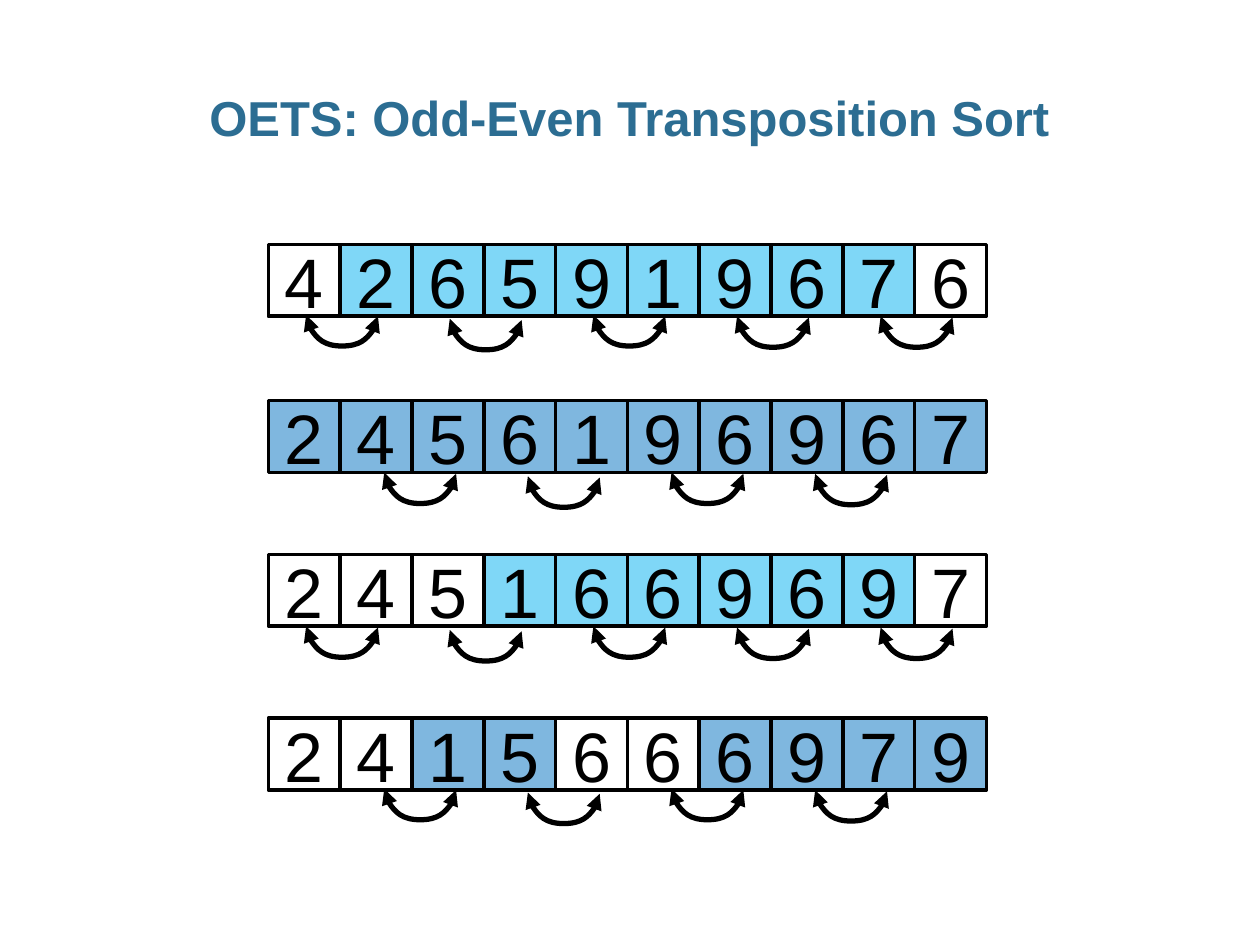
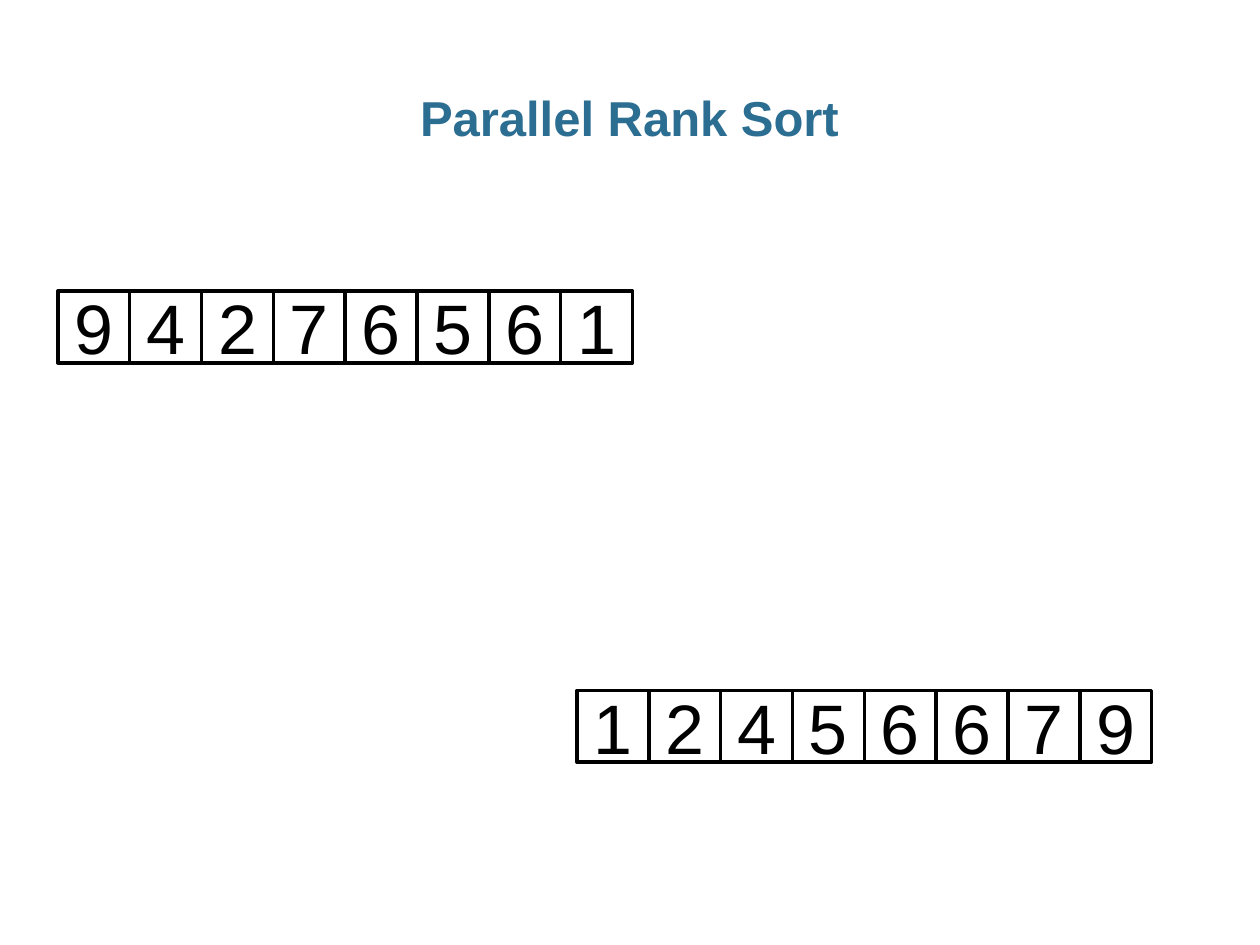
from lxml.etree import SubElement
from pptx import Presentation
from pptx.dml.color import RGBColor
from pptx.enum.shapes import MSO_CONNECTOR, MSO_SHAPE
from pptx.enum.text import MSO_ANCHOR, PP_ALIGN
from pptx.oxml.ns import qn
from pptx.util import Inches, Pt

TITLE_BLUE = RGBColor(0x2C, 0x6D, 0x92)
BLACK = RGBColor(0x00, 0x00, 0x00)
LIGHT_BLUE = RGBColor(0x00, 0xB0, 0xF0)
DARK_BLUE = RGBColor(0x00, 0x70, 0xC0)
FONT = "Arial"

CELL = 0.57
ARC_DROP = 0.01
ARC_DEPTH = 0.25
ARC_DIPS = (0, 0.03, 0, 0.01, 0.01)
ODD_ARCS_LEFT, EVEN_ARCS_LEFT = 2.43, 3.05
SORT_LEFT = 2.13

# digits, top, fill colour, filled columns, arcs left, arcs top, arc count
SORT_PHASES = (
    ("4265919676"[:0] + "4265919676", 1.94, LIGHT_BLUE, range(1, 9), ODD_ARCS_LEFT, 2.5, 5),
)
SORT_PHASES = (
    ("4265919676", 1.94, LIGHT_BLUE, range(1, 9), ODD_ARCS_LEFT, 2.5, 5),
    ("2456196967", 3.18, DARK_BLUE, range(10), EVEN_ARCS_LEFT, 3.75, 4),
    ("2451669697", 4.4, LIGHT_BLUE, range(3, 9), ODD_ARCS_LEFT, 4.97, 5),
    ("2415666979", 5.7, DARK_BLUE, (2, 3, 6, 7, 8, 9), EVEN_ARCS_LEFT, 6.26, 4),
)


def style_paragraph(p, size, color, bold=False):
    p.alignment = PP_ALIGN.CENTER
    p.font.name = FONT
    p.font.size = Pt(size)
    p.font.bold = bold
    p.font.color.rgb = color


def add_titled_slide(prs, title):
    slide = prs.slides.add_slide(prs.slide_layouts[6])
    box = slide.shapes.add_textbox(Inches(0.34), Inches(0.68), Inches(9.31), Inches(0.5))
    tf = box.text_frame
    tf.word_wrap = True
    tf.margin_left = tf.margin_right = 0
    p = tf.paragraphs[0]
    p.text = title
    p.line_spacing = 0.95
    style_paragraph(p, 28, TITLE_BLUE, bold=True)
    return slide


def add_cell(slide, left, top, digit, color=None):
    sp = slide.shapes.add_shape(
        MSO_SHAPE.RECTANGLE, Inches(left), Inches(top), Inches(CELL), Inches(CELL))
    sp.shadow.inherit = False
    if color is None:
        sp.fill.background()
    else:
        sp.fill.solid()
        sp.fill.fore_color.rgb = color
        srgb = sp._element.spPr.find(qn("a:solidFill")).find(qn("a:srgbClr"))
        SubElement(srgb, qn("a:alpha"), val="50000")
    sp.line.color.rgb = BLACK
    sp.line.width = Pt(2)
    tf = sp.text_frame
    tf.vertical_anchor = MSO_ANCHOR.MIDDLE
    p = tf.paragraphs[0]
    p.text = digit
    style_paragraph(p, 40, BLACK)


def add_array(slide, left, top, digits, color=None, filled=()):
    for i, digit in enumerate(digits):
        add_cell(slide, left + i * CELL, top, digit, color if i in filled else None)


def add_swap_arc(slide, left, top):
    mid_x, mid_y = left + CELL / 2, top + ARC_DROP / 2
    arc = slide.shapes.add_connector(
        MSO_CONNECTOR.CURVE,
        Inches(mid_x + ARC_DROP / 2), Inches(mid_y - CELL / 2),
        Inches(mid_x - ARC_DROP / 2), Inches(mid_y + CELL / 2))
    arc.line.color.rgb = BLACK
    arc.line.width = Pt(3)
    sp_pr = arc._element.spPr
    sp_pr.find(qn("a:xfrm")).set("rot", "16200000")
    guides = sp_pr.find(qn("a:prstGeom")).find(qn("a:avLst"))
    bend = round(ARC_DEPTH / ARC_DROP * 100000)
    SubElement(guides, qn("a:gd"), name="adj1", fmla=f"val {bend}")
    for end in ("a:headEnd", "a:tailEnd"):
        SubElement(sp_pr.find(qn("a:ln")), qn(end), type="triangle")
    SubElement(sp_pr, qn("a:effectLst"))


def add_swap_arcs(slide, left, top, count):
    for i, dip in enumerate(ARC_DIPS[:count]):
        add_swap_arc(slide, left + i * 2 * CELL, top + dip)


def main():
    prs = Presentation()
    prs.slide_width, prs.slide_height = Inches(10), Inches(7.5)

    slide = add_titled_slide(prs, "OETS: Odd-Even Transposition Sort")
    for digits, top, color, filled, arcs_left, arcs_top, count in SORT_PHASES:
        add_array(slide, SORT_LEFT, top, digits, color, filled)
        add_swap_arcs(slide, arcs_left, arcs_top, count)

    slide = add_titled_slide(prs, "Parallel Rank Sort")
    add_array(slide, 0.46, 2.31, "94276561")
    add_array(slide, 4.58, 5.48, "12456679")

    prs.save("out.pptx")


if __name__ == "__main__":
    main()
